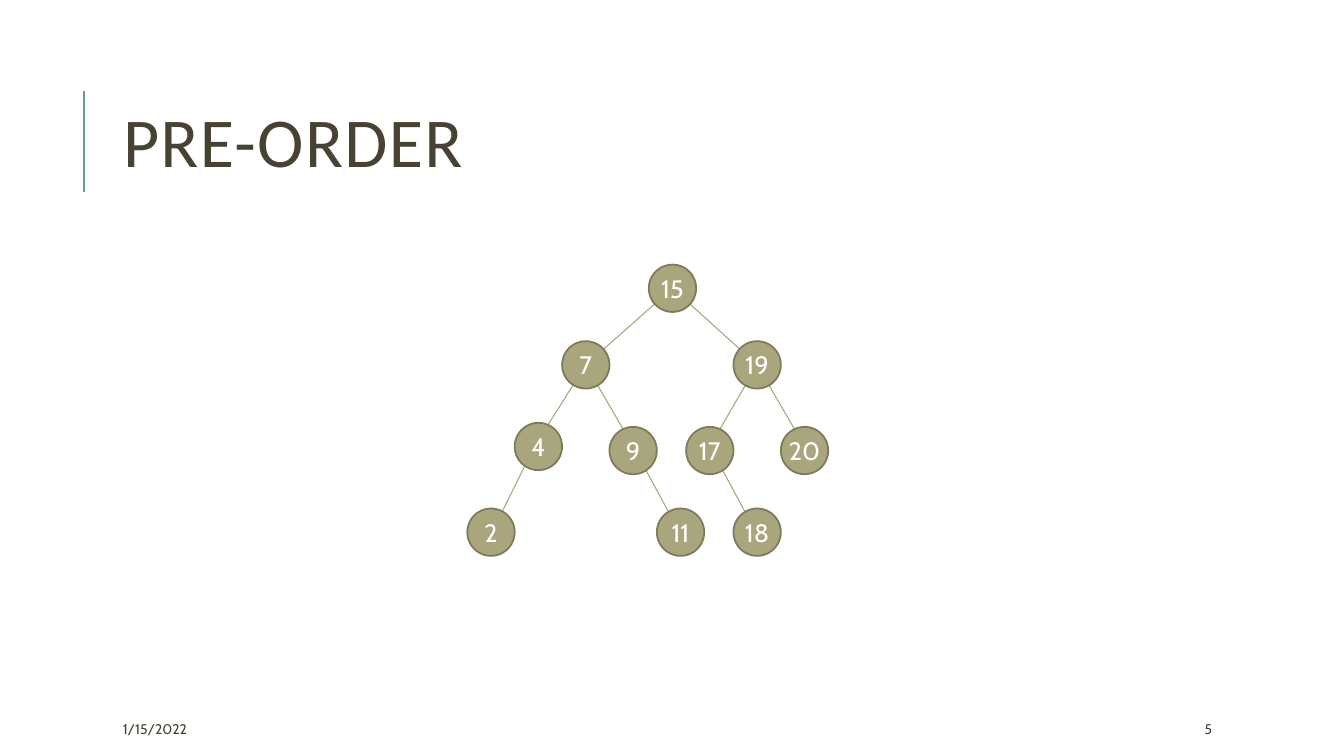
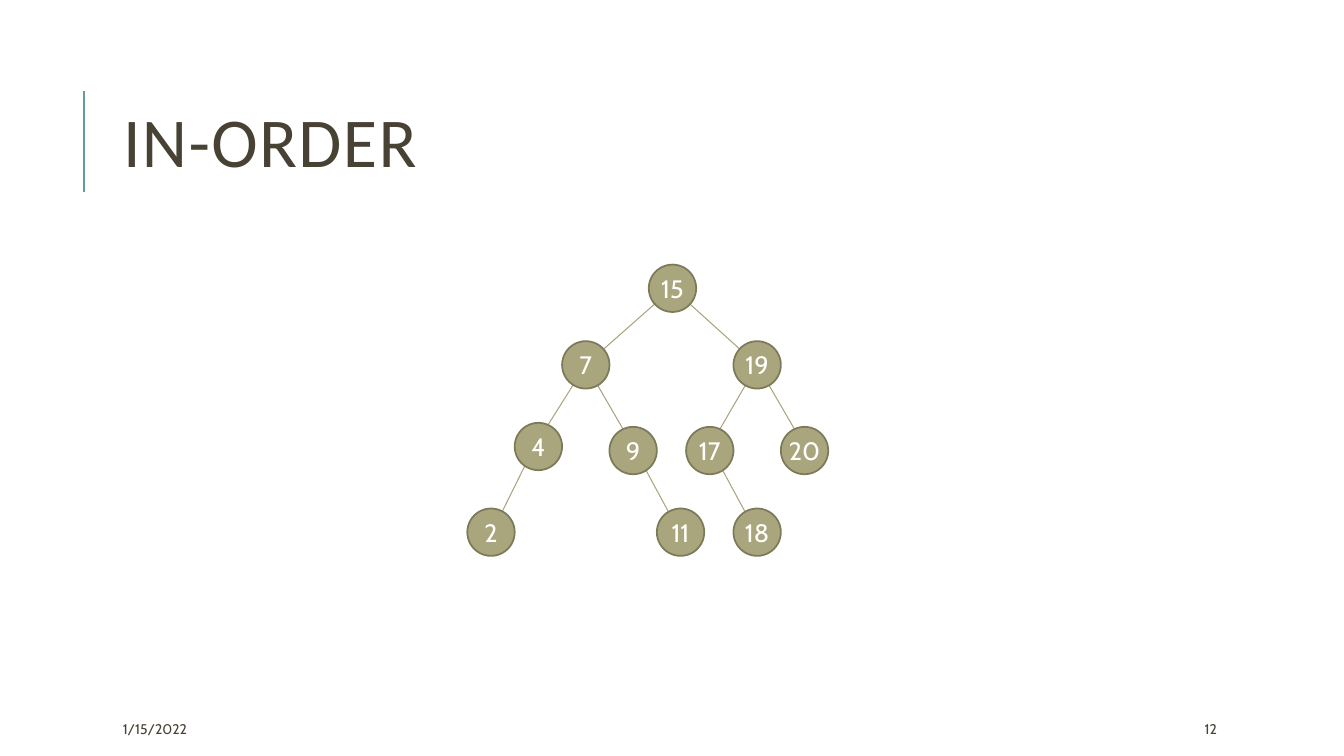
from lxml import etree
from pptx import Presentation
from pptx import util as u
from pptx.dml.color import RGBColor
from pptx.enum import shapes, text
from pptx.oxml.ns import qn

INK, TEAL, SAND, EDGE, PALE = "474233", "689C9A", "A9A57C", "7D7A5C", "FFFFFF"
SIZE = 0.47
ROWS = [2.86, 3.62, 4.43, 5.3]
LEFT, RIGHT = 4.87, 7.04
TREE = {
    "15": (6.67, 0, None, 0),
    "7": (LEFT + 2 * SIZE, 1, "15", 0),
    "19": (RIGHT + SIZE, 1, "15", 0),
    "4": (LEFT + SIZE, 2, "7", 0),
    "9": (LEFT + 3 * SIZE, 2, "7", 0.04),
    "17": (RIGHT, 2, "19", 0.04),
    "20": (RIGHT + 2 * SIZE, 2, "19", 0.04),
    "2": (LEFT, 3, "4", -0.02),
    "11": (LEFT + 4 * SIZE, 3, "9", -0.02),
    "18": (RIGHT + SIZE, 3, "17", -0.02),
}
LEAN = {"4": -0.04}


def write(box, words, size=10, font="Cabin", hue=INK, side="LEFT", pad=None, lead=None, space=None):
    frame = box.text_frame
    frame.word_wrap = True
    frame.auto_size = text.MSO_AUTO_SIZE.NONE
    frame.vertical_anchor = text.MSO_ANCHOR.MIDDLE
    if pad is not None:
        frame.margin_left = frame.margin_right = frame.margin_top = frame.margin_bottom = u.Inches(pad)
    par = frame.paragraphs[0]
    par.alignment = text.PP_ALIGN[side]
    if lead:
        par.line_spacing = lead
    run = par.add_run()
    run.text = words
    run.font.size, run.font.name = u.Pt(size), font
    run.font.color.rgb = RGBColor.from_string(hue)
    if space:
        run.font._element.set("spc", str(space))


def link(page, ends, hue, wide):
    line = page.shapes.add_connector(shapes.MSO_CONNECTOR.STRAIGHT, *map(u.Inches, ends))
    line.line.color.rgb = RGBColor.from_string(hue)
    line.line.width = u.Pt(wide)
    etree.SubElement(line.element.find(qn("p:spPr")), qn("a:effectLst"))


deck = Presentation()
deck.slide_width, deck.slide_height = u.Inches(13.33), u.Inches(7.5)

for name, num in [("PRE-ORDER", "5"), ("IN-ORDER", "12")]:
    page = deck.slides.add_slide(deck.slide_layouts[5])
    link(page, (0.83, 1.9, 0.83, 0.9), TEAL, 1.5)
    head = page.shapes.title
    head.left, head.top, head.width, head.height = map(u.Inches, (1.12, 0.64, 10.63, 1.64))
    write(head, name, size=50, font="Calibri", lead=0.8, space=100)

    for words, left, wide in [("1/15/2022", 1.12, 2.36), (num, 11.85, 1.06)]:
        write(page.shapes.add_textbox(*map(u.Inches, (left, 7.08, wide, 0.3))), words)

    for key, (x, row, top, drop) in TREE.items():
        if top:
            ends = (TREE[top][0] + LEAN.get(top, 0), ROWS[row - 1], x + LEAN.get(key, 0), ROWS[row])
            link(page, ends, SAND, 0.75)

    for key, (x, row, top, drop) in TREE.items():
        spot = (x - SIZE / 2, ROWS[row] + drop - SIZE / 2, SIZE, SIZE)
        node = page.shapes.add_shape(shapes.MSO_SHAPE.OVAL, *map(u.Inches, spot))
        node.shadow.inherit = False
        node.fill.solid()
        node.fill.fore_color.rgb = RGBColor.from_string(SAND)
        node.line.color.rgb = RGBColor.from_string(EDGE)
        node.line.width = u.Pt(1.25)
        write(node, key, size=18, hue=PALE, side="CENTER", pad=0)

deck.save("out.pptx")
